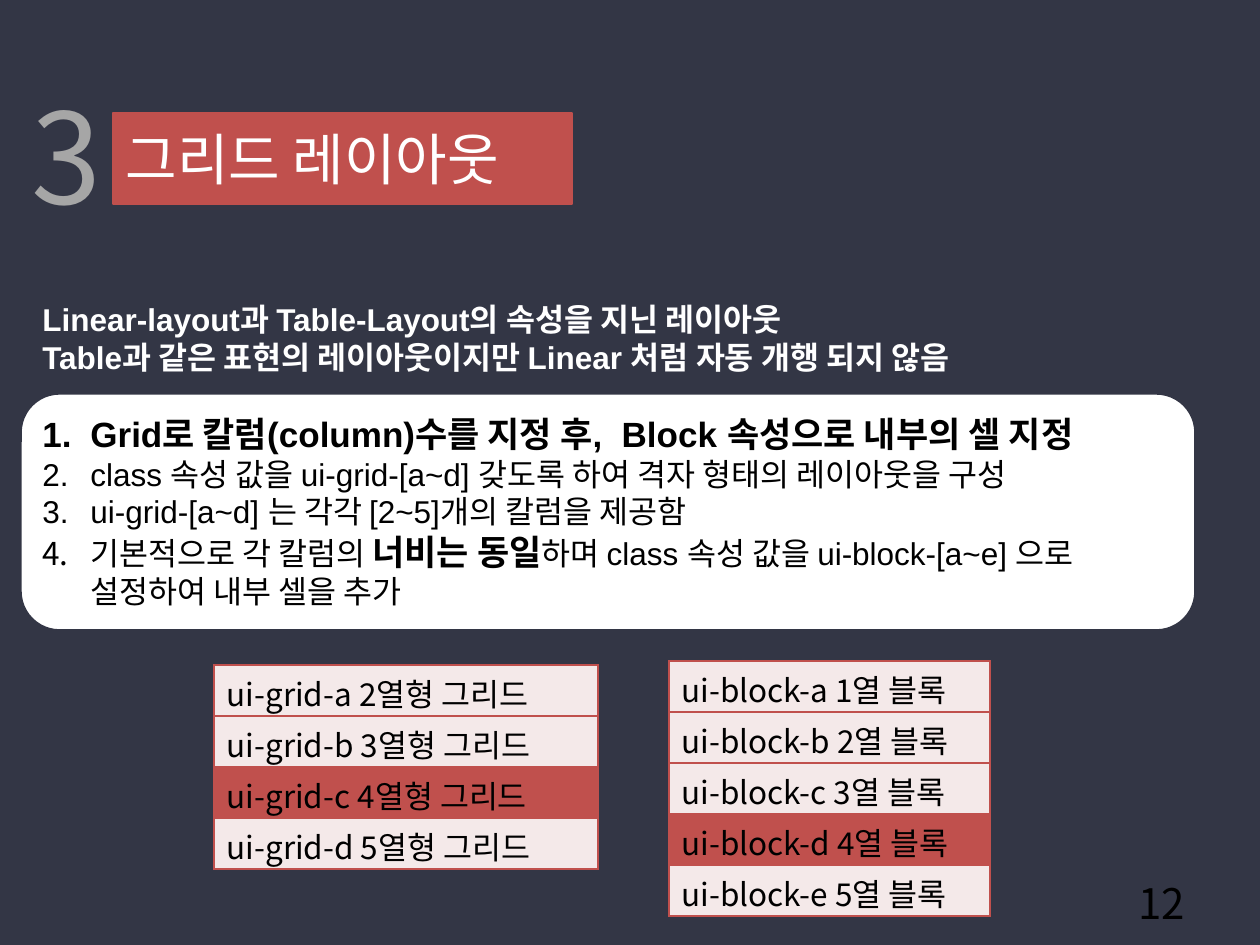
from lxml import etree
from pptx import Presentation
from pptx.dml.color import RGBColor
from pptx.enum.shapes import MSO_SHAPE
from pptx.enum.text import MSO_ANCHOR, MSO_AUTO_SIZE, PP_ALIGN
from pptx.oxml.ns import qn
from pptx.util import Pt

ROUNDED = MSO_SHAPE.ROUNDED_RECTANGLE
MIDDLE, TOP = MSO_ANCHOR.MIDDLE, MSO_ANCHOR.TOP
LEFT, RIGHT = PP_ALIGN.LEFT, PP_ALIGN.RIGHT
NO_AUTOFIT = MSO_AUTO_SIZE.NONE
PX = 914400 / 126
NAVY, RED, PINK, GRAY, WHITE, BLACK = "333645", "C0504D", "F4E9E9", "A6A6A6", "FFFFFF", "000000"
SANS, KOREAN = "Arial", "Noto Sans CJK KR"
INDENT = 48
ROW_HEIGHT = 51

TITLE = "그리드 레이아웃"
INTRO = [
    "Linear-layout과 Table-Layout의 속성을 지닌 레이아웃",
    "Table과 같은 표현의 레이아웃이지만 Linear 처럼 자동 개행 되지 않음",
]
STEPS = [
    [("Grid로 칼럼(column)수를 지정 후,  Block 속성으로 내부의 셀 지정", True)],
    [("class 속성 값을 ui-grid-[a~d] 갖도록 하여 격자 형태의 레이아웃을 구성", False)],
    [("ui-grid-[a~d] 는 각각 [2~5]개의 칼럼을 제공함", False)],
    [("기본적으로 각 칼럼의 ", False), ("너비는 동일", True),
     ("하며 class 속성 값을 ui-block-[a~e] 으로 설정하여 내부 셀을 추가", False)],
]
TABLES = [
    {"at": (214, 665), "width": 384, "highlight": 2,
     "rows": [f"ui-grid-{letter} {count}열형 그리드" for count, letter in enumerate("abcd", 2)]},
    {"at": (669, 661), "width": 321, "highlight": 3,
     "rows": [f"ui-block-{letter} {count}열 블록" for count, letter in enumerate("abcde", 1)]},
]


def px(*lengths):
    return [round(length * PX) for length in lengths]


def color(value):
    return RGBColor.from_string(value)


def paint(item, value):
    item.fill.solid()
    item.fill.fore_color.rgb = color(value)


def style(font, size, value, name=KOREAN, bold=False):
    font.size, font.name, font.bold = Pt(size), name, bold
    font.color.rgb = color(value)


def add_text(slide, box, text, size, value, align=LEFT, anchor=TOP):
    frame = slide.shapes.add_textbox(*px(*box)).text_frame
    frame.word_wrap = True
    frame.vertical_anchor = anchor
    paragraph = frame.paragraphs[0]
    paragraph.text, paragraph.alignment = text, align
    style(paragraph.font, size, value)


def add_title(slide):
    title = slide.shapes.title
    title.left, title.top, title.width, title.height = px(113, 113, 459, 91)
    paint(title, RED)
    title.line.color.rgb = color(RED)
    title.line.width = Pt(0.75)
    frame = title.text_frame
    frame.text = TITLE
    frame.auto_size, frame.vertical_anchor = NO_AUTOFIT, MIDDLE
    frame.paragraphs[0].alignment = LEFT
    style(frame.paragraphs[0].font, 32, WHITE)


def add_panel(slide):
    panel = slide.shapes.add_shape(ROUNDED, *px(20, 393, 1176, 238))
    panel.shadow.inherit = False
    paint(panel, WHITE)
    panel.line.color.rgb = color(NAVY)
    panel.line.width = Pt(2)


def number(paragraph):
    properties = paragraph._p.get_or_add_pPr()
    indent = px(INDENT)[0]
    properties.set("marL", str(indent))
    properties.set("indent", str(-indent))
    etree.SubElement(properties, qn("a:buFont"), typeface="+mj-lt")
    etree.SubElement(properties, qn("a:buAutoNum"), type="arabicPeriod")


def add_body(slide):
    frame = slide.shapes.add_textbox(*px(30, 294, 1134, 576)).text_frame
    frame.word_wrap = True
    frame.text = "\n".join(INTRO)
    for paragraph in frame.paragraphs:
        style(paragraph.font, 18, WHITE, SANS, True)
    for index, parts in enumerate(STEPS):
        paragraph = frame.add_paragraph()
        paragraph.space_before = Pt(0 if index else 21)
        number(paragraph)
        for text, strong in parts:
            run = paragraph.add_run()
            run.text = text
            style(run.font, 20 if strong else 18, BLACK, SANS, strong)


def add_borders(cell):
    properties = cell._tc.get_or_add_tcPr()
    for index, side in enumerate(("lnL", "lnR", "lnT", "lnB")):
        line = etree.Element(qn(f"a:{side}"), w=str(Pt(1)))
        fill = etree.SubElement(line, qn("a:solidFill"))
        etree.SubElement(fill, qn("a:srgbClr"), val=RED)
        properties.insert(index, line)


def add_grid(slide, at, width, highlight, rows):
    size = (width, ROW_HEIGHT * len(rows))
    table = slide.shapes.add_table(len(rows), 1, *px(*at, *size)).table
    table.first_row = table.horz_banding = False
    for index, text in enumerate(rows):
        cell = table.cell(index, 0)
        cell.text = text
        cell.margin_top, cell.margin_bottom = px(5, 0)
        paint(cell, RED if index == highlight else PINK)
        style(cell.text_frame.paragraphs[0].font, 18, BLACK)
        add_borders(cell)


def main():
    """Build the grid layout slide."""
    presentation = Presentation()
    presentation.slide_width, presentation.slide_height = px(1260, 945)
    slide = presentation.slides.add_slide(presentation.slide_layouts[5])
    paint(slide.background, NAVY)
    add_title(slide)
    add_panel(slide)
    add_text(slide, (903, 878, 294, 50), "12", 24, BLACK, RIGHT, MIDDLE)
    add_text(slide, (19, 72, 139, 165), "3", 72, GRAY)
    add_body(slide)
    for table in TABLES:
        add_grid(slide, **table)
    presentation.save("out.pptx")


if __name__ == "__main__":
    main()
